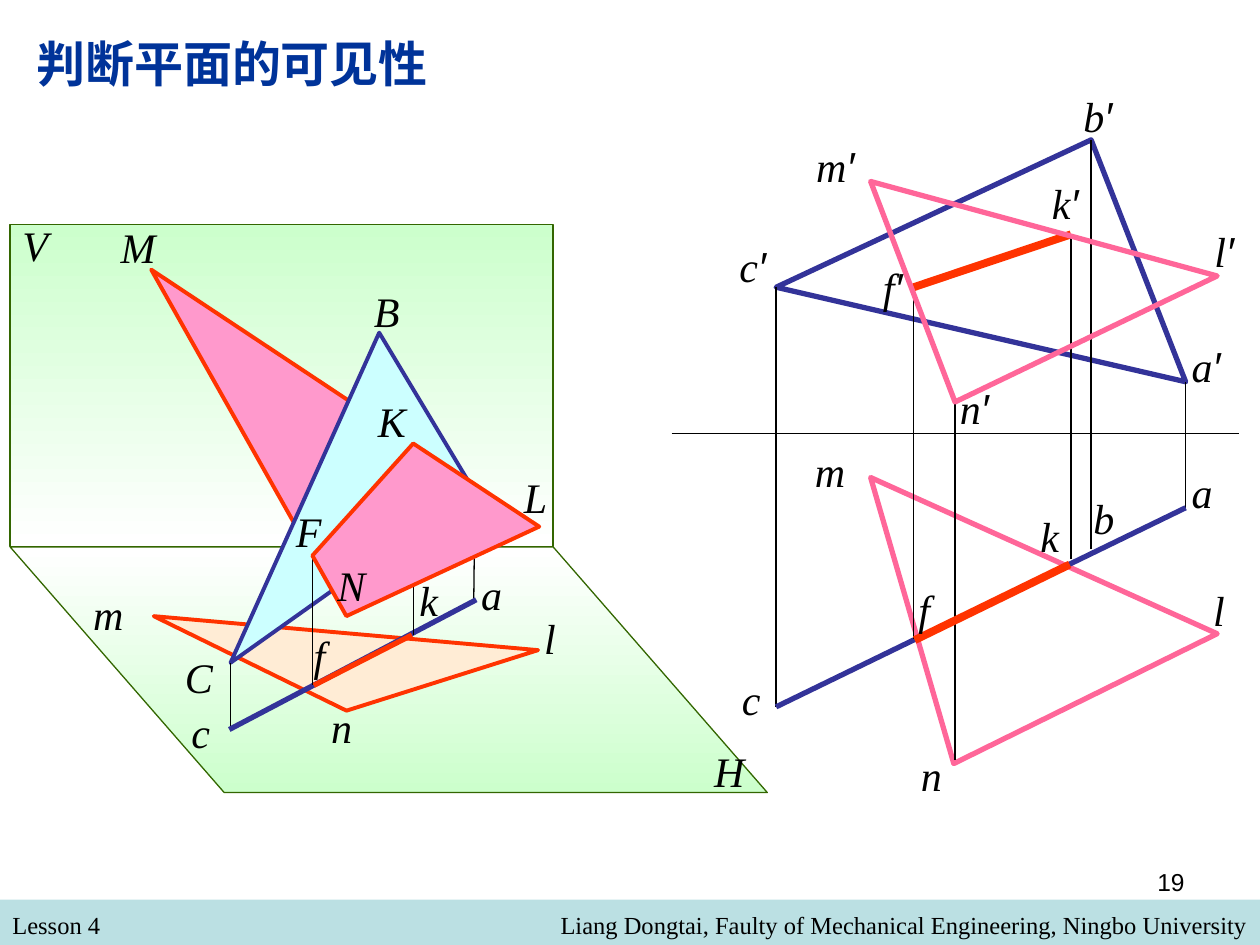
from dataclasses import dataclass

from lxml import etree
from pptx import Presentation
from pptx.dml.color import RGBColor
from pptx.enum.shapes import MSO_CONNECTOR, MSO_SHAPE
from pptx.enum.text import PP_ALIGN
from pptx.oxml.ns import qn
from pptx.util import Inches, Pt

STRAIGHT = MSO_CONNECTOR.STRAIGHT
RECTANGLE = MSO_SHAPE.RECTANGLE
LEFT, RIGHT = PP_ALIGN.LEFT, PP_ALIGN.RIGHT

SERIF, SANS = "Times New Roman", "Arial"
BLACK, BLUE, RED, ROSE = "000000", "333399", "FF3300", "FF6699"
PINK, CREAM, CYAN = "FF99CC", "FFECD5", "CCFFFF"
MINT, WHITE, GREEN = "CCFFCC", "FFFFFF", "336600"
PAGE_WIDTH, PAGE_HEIGHT = 10, 7.5

Point = tuple[float, float]


@dataclass
class Polygon:
    points: list[Point]
    line: str
    width: float
    fill: str | None = None
    fade_to: str | None = None


@dataclass
class Rectangle:
    left: float
    top: float
    width: float
    height: float
    fill: str
    fade_to: str | None = None
    line: str | None = None


@dataclass
class Segment:
    start: Point
    end: Point
    color: str = BLACK
    width: float = 0.75


@dataclass
class Label:
    text: str
    left: float
    top: float
    width: float = 0.67


@dataclass
class Caption:
    text: str
    left: float
    top: float
    width: float
    height: float
    size: float = 14
    font: str = SERIF
    color: str = BLACK
    align: PP_ALIGN = LEFT
    bold: bool = False


def rgb(color: str) -> RGBColor:
    return RGBColor.from_string(color)


def style_line(line, color: str, width: float) -> None:
    line.color.rgb = rgb(color)
    line.width = Pt(width)


def style_shape(shape, fill: str | None, fade_to: str | None,
                line: str | None, width: float) -> None:
    shape.shadow.inherit = False
    if fade_to:
        shape.fill.gradient()
        shape.fill.gradient_angle = 270
        for stop, color in zip(shape.fill.gradient_stops, (fill, fade_to)):
            stop.color.rgb = rgb(color)
    elif fill:
        shape.fill.solid()
        shape.fill.fore_color.rgb = rgb(fill)
    else:
        shape.fill.background()
    if line:
        style_line(shape.line, line, width)
    else:
        shape.line.fill.background()


def draw_polygon(page, polygon: Polygon) -> None:
    corners = [(Inches(x), Inches(y)) for x, y in polygon.points]
    builder = page.shapes.build_freeform(*corners[0])
    builder.add_line_segments(corners[1:], close=True)
    shape = builder.convert_to_shape()
    style_shape(shape, polygon.fill, polygon.fade_to, polygon.line, polygon.width)
    outline = shape._element.spPr.find(qn("a:ln"))
    etree.SubElement(outline, qn("a:round"))


def draw_rectangle(page, area: Rectangle) -> None:
    shape = page.shapes.add_shape(
        RECTANGLE, Inches(area.left), Inches(area.top),
        Inches(area.width), Inches(area.height))
    style_shape(shape, area.fill, area.fade_to, area.line, 0.75)


def draw_segment(page, segment: Segment) -> None:
    ends = [Inches(value) for value in (*segment.start, *segment.end)]
    connector = page.shapes.add_connector(STRAIGHT, *ends)
    style_line(connector.line, segment.color, segment.width)
    etree.SubElement(connector._element.spPr, qn("a:effectLst"))


def draw_label(page, label: Label) -> None:
    width = min(label.width, PAGE_WIDTH - label.left)
    box = page.shapes.add_textbox(
        Inches(label.left), Inches(label.top), Inches(width), Inches(0.5))
    box.text_frame.word_wrap = True
    for letter in label.text:
        span = box.text_frame.paragraphs[0].add_run()
        span.text = letter
        span.font.name = SANS if letter == "′" else SERIF
        span.font.size = Pt(24)
        span.font.italic = True
        span.font.color.rgb = rgb(BLACK)


def draw_caption(page, caption: Caption) -> None:
    box = page.shapes.add_textbox(
        Inches(caption.left), Inches(caption.top),
        Inches(caption.width), Inches(caption.height))
    box.text_frame.word_wrap = True
    box.text_frame.text = caption.text
    para = box.text_frame.paragraphs[0]
    para.alignment = caption.align
    font = para.runs[0].font
    font.name, font.size, font.bold = caption.font, Pt(caption.size), caption.bold
    font.color.rgb = rgb(caption.color)


# Footer and title
FRAME = [
    Rectangle(0, 7.14, PAGE_WIDTH, 0.36, "BBE0E3"),
    Caption("Lesson 4", 0, 7.17, 4.83, 0.34),
    Caption("Liang Dongtai, Faulty of Mechanical Engineering, Ningbo University",
            1.83, 7.17, 8.17, 0.34, align=RIGHT),
    Caption("19", 7.17, 6.83, 2.33, 0.52, font=SANS, align=RIGHT),
    Caption("判断平面的可见性", 0.19, 0.22, 3.6, 0.57, 28, SANS, "003399", bold=True),
]

# Spatial view: points where the two triangles meet
F, K = (2.48, 4.41), (3.28, 3.52)
SPATIAL_VIEW = [
    Rectangle(0.08, 1.78, 4.31, 2.56, MINT, WHITE, GREEN),
    Polygon([(0.08, 4.34), (1.78, 6.29), (6.09, 6.29), (4.39, 4.34)],
            GREEN, 0.75, WHITE, MINT),
    Polygon([F, (1.2, 2.14), K], RED, 2.25, PINK),
    Polygon([(2.75, 5.64), (4.27, 5.16), (1.22, 4.89)], RED, 2.25, CREAM),
    Polygon([(3.76, 3.89), (1.83, 5.26), (3.01, 2.64)], BLUE, 2.25, CYAN),
    Segment((3.76, 4.78), (3.77, 3.89)),
    Segment((1.83, 5.78), (1.83, 5.26)),
    Segment((3.78, 4.76), (1.82, 5.79), BLUE, 3),
    Segment((2.49, 5.44), (3.27, 5.04), RED, 3),
    Segment(F, (2.48, 5.44)),
    Segment(K, (3.28, 5.04)),
    Polygon([K, F, (2.75, 4.89), (4.28, 4.18)], RED, 2.25, PINK),
]
SPATIAL_LABELS = [
    Label("V", 0.08, 1.69), Label("H", 5.57, 5.87), Label("M", 0.86, 1.71),
    Label("m", 0.64, 4.62), Label("n", 2.53, 5.52), Label("l", 4.22, 4.81),
    Label("B", 2.87, 2.22), Label("C", 1.37, 5.12), Label("a", 3.72, 4.46),
    Label("c", 1.42, 5.56), Label("k", 3.23, 4.51), Label("f", 2.39, 4.95),
    Label("F", 2.25, 3.96), Label("K", 2.9, 3.09), Label("N", 2.58, 4.39),
    Label("L", 4.06, 3.69),
]

# Projection view: front points are above the axis, top points below it
A_FRONT, B_FRONT, C_FRONT = (9.41, 3.03), (8.66, 1.11), (6.16, 2.28)
F_FRONT, K_FRONT, N_FRONT = (7.25, 2.28), (8.5, 1.86), (7.58, 3.19)
A_TOP, C_TOP = (9.41, 4.03), (6.16, 5.61)
PROJECTION_VIEW = [
    Polygon([C_FRONT, B_FRONT, A_FRONT], BLUE, 3),
    Segment((5.33, 3.44), (9.83, 3.44)),
    Segment(C_TOP, C_FRONT), Segment(A_TOP, A_FRONT), Segment((8.66, 4.36), B_FRONT),
    Polygon([(6.91, 3.79), (9.66, 5.03), (7.57, 6.06)], ROSE, 3),
    Segment((7.58, 6.03), N_FRONT),
    Segment(C_TOP, A_TOP, BLUE, 3),
    Segment(K_FRONT, F_FRONT, RED, 4.5),
    Segment((7.25, 5.07), F_FRONT), Segment((8.5, 4.44), K_FRONT),
    Segment((7.26, 5.08), (8.49, 4.48), RED, 4.5),
    Polygon([(6.91, 1.44), N_FRONT, (9.66, 2.19)], ROSE, 3),
]
PROJECTION_LABELS = [
    Label("b′", 8.5, 0.67), Label("b", 8.58, 3.86), Label("a", 9.36, 3.65),
    Label("c", 5.79, 5.3), Label("n", 7.21, 5.9), Label("l", 9.53, 4.59),
    Label("m", 6.37, 3.49), Label("c′", 5.77, 1.86), Label("m′", 6.38, 1.07),
    Label("a′", 9.36, 2.65), Label("l′", 9.54, 1.74), Label("n′", 7.52, 2.99),
    Label("f", 7.19, 4.58), Label("k", 8.16, 4), Label("f′", 6.91, 2.03),
    Label("k′", 8.25, 1.36),
]
PAINTERS = {Polygon: draw_polygon, Rectangle: draw_rectangle, Segment: draw_segment,
            Label: draw_label, Caption: draw_caption}


def main() -> None:
    deck = Presentation()
    deck.slide_width, deck.slide_height = Inches(PAGE_WIDTH), Inches(PAGE_HEIGHT)
    page = deck.slides.add_slide(deck.slide_layouts[6])
    for part in (FRAME, SPATIAL_VIEW, SPATIAL_LABELS, PROJECTION_VIEW, PROJECTION_LABELS):
        for item in part:
            PAINTERS[type(item)](page, item)
    deck.save("out.pptx")


if __name__ == "__main__":
    main()
